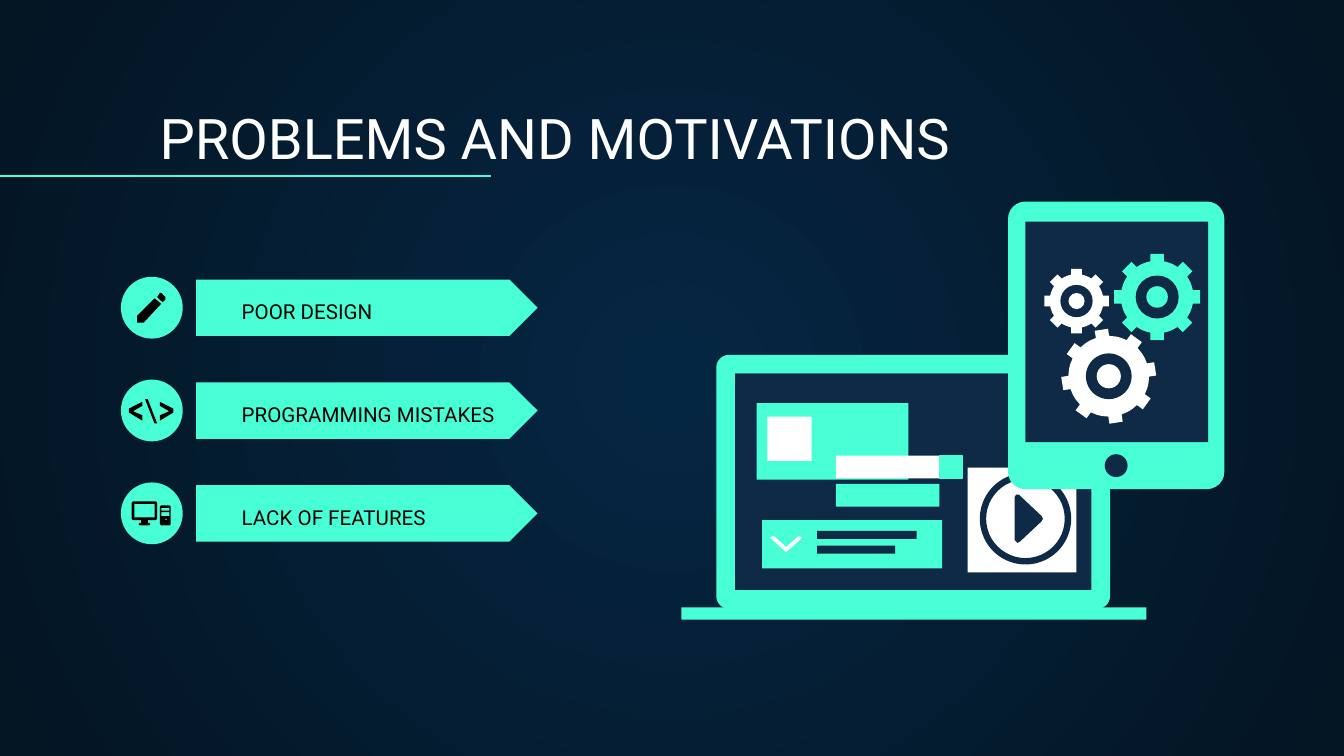
"""Build the "Problems and motivations" slide with labelled arrows and a device illustration."""
import math

import pptx
import pptx.dml.color
import pptx.enum.shapes
import pptx.enum.text
import pptx.oxml
import pptx.oxml.ns
import pptx.util
from pptx.util import Inches

RGBColor = pptx.dml.color.RGBColor
SHAPE = pptx.enum.shapes.MSO_SHAPE

MINT = RGBColor(0x48, 0xFF, 0xD5)
NAVY = RGBColor(0x0E, 0x2A, 0x47)
WHITE = RGBColor(0xFF, 0xFF, 0xFF)
BLACK = RGBColor(0, 0, 0)
GLOW = RGBColor(0x05, 0x26, 0x43)
EDGE = RGBColor(0x04, 0x15, 0x23)

TITLE = "PROBLEMS AND MOTIVATIONS"
PROBLEMS = ["POOR DESIGN", "PROGRAMMING MISTAKES", "LACK OF FEATURES"]
FIRST_CENTRE, LAST_CENTRE = 2.29, 3.82
BADGE_SIZE = 0.46
ARROW_HEIGHT = 0.42

PENCIL = [
    [(1.19, 2.18), (1.17, 2.21), (1.21, 2.25), (1.23, 2.23), (1.23, 2.21), (1.2, 2.18)],
    [(1.15, 2.22), (1.02, 2.35), (1.02, 2.4), (1.07, 2.4), (1.2, 2.26)],
]
CODE = [
    [(1.06, 3.13), (0.96, 3.07), (0.96, 3.04), (1.06, 2.99), (1.06, 3.02), (0.99, 3.06), (1.06, 3.09)],
    [(1.15, 3.15), (1.08, 2.97), (1.1, 2.97), (1.17, 3.15)],
    [(1.19, 3.13), (1.19, 3.09), (1.26, 3.06), (1.19, 3.02), (1.19, 2.99), (1.29, 3.04), (1.29, 3.07)],
]
COMPUTER = [
    [(1, 3.75), (1.15, 3.75), (1.15, 3.85), (1, 3.85)],
    [(0.99, 3.73), (0.98, 3.74), (0.98, 3.86), (0.99, 3.87), (1.05, 3.87), (1.05, 3.89),
     (1.04, 3.89), (1.03, 3.9), (1.04, 3.91), (1.11, 3.91), (1.12, 3.9), (1.11, 3.89),
     (1.1, 3.89), (1.1, 3.87), (1.16, 3.87), (1.17, 3.86), (1.17, 3.74), (1.16, 3.73)],
    [(1.2, 3.76), (1.19, 3.77), (1.19, 3.9), (1.2, 3.91), (1.26, 3.91), (1.27, 3.9),
     (1.27, 3.77), (1.26, 3.76)],
    [(1.2, 3.78), (1.26, 3.78), (1.26, 3.8), (1.2, 3.8)],
    [(1.2, 3.81), (1.26, 3.81), (1.26, 3.84), (1.2, 3.84)],
    [(1.23, 3.86), (1.24, 3.86), (1.24, 3.87), (1.23, 3.87)],
]
ICONS = [PENCIL, CODE, COMPUTER]

LAPTOP = [
    (SHAPE.ROUNDED_RECTANGLE, MINT, (5.33, 2.64, 2.93, 1.89), 0.05),
    (SHAPE.RECTANGLE, NAVY, (5.47, 2.78, 2.65, 1.61), None),
    (SHAPE.RECTANGLE, MINT, (5.07, 4.52, 3.46, 0.09), None),
    (SHAPE.RECTANGLE, NAVY, (5.47, 2.78, 2.65, 0.15), None),
    (SHAPE.RECTANGLE, MINT, (5.63, 3, 1.13, 0.57), None),
    (SHAPE.RECTANGLE, WHITE, (5.71, 3.1, 0.33, 0.33), None),
    (SHAPE.RECTANGLE, MINT, (6.02, 3.87, 0.99, 0.36), None),
    (SHAPE.RECTANGLE, NAVY, (6.08, 3.95, 0.74, 0.06), None),
    (SHAPE.RECTANGLE, NAVY, (6.08, 4.06, 0.58, 0.06), None),
    (SHAPE.RECTANGLE, MINT, (5.67, 3.87, 0.35, 0.36), None),
    (SHAPE.RECTANGLE, MINT, (6.22, 3.6, 0.77, 0.17), None),
    (SHAPE.RECTANGLE, WHITE, (6.22, 3.39, 0.77, 0.17), None),
    (SHAPE.RECTANGLE, WHITE, (7.2, 3.48, 0.81, 0.78), None),
    (SHAPE.DONUT, NAVY, (7.29, 3.52, 0.68, 0.68), 0.07),
]
TABLET = [
    (SHAPE.ROUNDED_RECTANGLE, MINT, (7.5, 1.5, 1.61, 2.14), 0.08),
    (SHAPE.RECTANGLE, NAVY, (7.63, 1.65, 1.36, 1.64), None),
    (SHAPE.OVAL, NAVY, (8.22, 3.38, 0.17, 0.17), None),
]
CHEVRON = [(5.75, 3.99), (5.76, 3.99), (5.85, 4.07), (5.94, 3.99), (5.95, 3.99), (5.97, 4),
           (5.96, 4.01), (5.86, 4.1), (5.85, 4.11), (5.84, 4.1), (5.74, 4.01), (5.73, 4)]
PLAY = [(7.55, 3.7), (7.56, 3.68), (7.58, 3.68), (7.75, 3.84), (7.76, 3.86), (7.75, 3.88),
        (7.59, 4.03), (7.57, 4.04), (7.55, 4.02)]
GEARS = [
    {"colour": MINT, "centre": (8.61, 2.21), "outer": 0.32, "body": 0.27, "hole": 0.16,
     "hub": 0.08, "half_tooth": 0.05, "tilt": 0},
    {"colour": WHITE, "centre": (8.01, 2.24), "outer": 0.24, "body": 0.2, "hole": 0.12,
     "hub": 0.06, "half_tooth": 0.04, "tilt": 0},
    {"colour": WHITE, "centre": (8.25, 2.8), "outer": 0.35, "body": 0.3, "hole": 0.17,
     "hub": 0.09, "half_tooth": 0.05, "tilt": -9},
]
TEETH = 8


def paint(shape, colour):
    shape.shadow.inherit = False
    shape.fill.solid()
    shape.fill.fore_color.rgb = colour
    shape.line.fill.background()
    return shape


def add_part(slide, kind, colour, box, adjustment=None):
    part = paint(slide.shapes.add_shape(kind, *map(Inches, box)), colour)
    if adjustment is not None:
        part.adjustments[0] = adjustment
    return part


def add_outline(slide, contours, colour):
    contours = [[(Inches(x), Inches(y)) for x, y in contour] for contour in contours]
    builder = slide.shapes.build_freeform(*contours[0][0])
    for index, contour in enumerate(contours):
        if index:
            builder.move_to(*contour[0])
        builder.add_line_segments(contour[1:], close=True)
    return paint(builder.convert_to_shape(), colour)


def add_text(slide, text, box, size, colour):
    frame = slide.shapes.add_textbox(*map(Inches, box)).text_frame
    frame.word_wrap = True
    frame.vertical_anchor = pptx.enum.text.MSO_ANCHOR.BOTTOM
    frame.margin_left = frame.margin_right = frame.margin_top = frame.margin_bottom = Inches(0.1)
    paragraph = frame.paragraphs[0]
    paragraph.text = text
    paragraph.font.name = "Roboto"
    paragraph.font.size = pptx.util.Pt(size)
    paragraph.font.color.rgb = colour


def add_disc(slide, centre, radius, colour):
    x, y = centre
    add_part(slide, SHAPE.OVAL, colour, (x - radius, y - radius, 2 * radius, 2 * radius))


def add_gear(slide, colour, centre, outer, body, hole, hub, half_tooth, tilt):
    rim = math.sqrt(body ** 2 - half_tooth ** 2)
    step = math.pi / TEETH
    valley = [(body * math.sin(step * k), body * math.cos(step * k)) for k in (0.8, 1, 1.2)]
    tooth = [(-half_tooth, rim), (-half_tooth, outer), (half_tooth, outer), (half_tooth, rim)]
    points = []
    for index in range(TEETH):
        angle = math.radians(tilt) + 2 * step * index
        sin, cos = math.sin(angle), math.cos(angle)
        points += [(centre[0] + across * cos + up * sin, centre[1] + across * sin - up * cos)
                   for across, up in tooth + valley]
    add_outline(slide, [points], colour)
    add_disc(slide, centre, hole, NAVY)
    add_disc(slide, centre, hub, colour)


def set_background(slide):
    fill = slide.background.fill
    fill.gradient()
    for stop, position, colour in zip(fill.gradient_stops, (0, 1), (GLOW, EDGE)):
        stop.position = position
        stop.color.rgb = colour
    gradient = next(slide.element.iter(pptx.oxml.ns.qn("a:gradFill")))
    gradient.replace(gradient.find(pptx.oxml.ns.qn("a:lin")), pptx.oxml.parse_xml(
        f'<a:path {pptx.oxml.ns.nsdecls("a")} path="circle">'
        '<a:fillToRect l="50000" t="50000" r="50000" b="50000"/></a:path>'))


def main():
    deck = pptx.Presentation()
    deck.slide_width = Inches(10)
    deck.slide_height = deck.slide_width * 9 // 16
    slide = deck.slides.add_slide(deck.slide_layouts[6])
    set_background(slide)

    add_text(slide, TITLE, (1.09, 0.71, 8.57, 0.66), 30, WHITE)
    underline = slide.shapes.add_connector(
        pptx.enum.shapes.MSO_CONNECTOR.STRAIGHT, 0, Inches(1.31), Inches(3.65), Inches(1.31))
    underline.line.color.rgb = MINT
    underline.line.width = pptx.util.Pt(0.75)
    underline.element.spPr.append(
        pptx.oxml.parse_xml(f'<a:effectLst {pptx.oxml.ns.nsdecls("a")}/>'))

    pitch = (LAST_CENTRE - FIRST_CENTRE) / (len(PROBLEMS) - 1)
    for row, (problem, icon) in enumerate(zip(PROBLEMS, ICONS)):
        centre = FIRST_CENTRE + row * pitch
        add_part(slide, SHAPE.PENTAGON, MINT, (1.46, centre - ARROW_HEIGHT / 2, 2.54, ARROW_HEIGHT), 0.5)
        add_text(slide, problem, (1.7, centre, 2.27, 0.21), 11, BLACK)
        add_disc(slide, (0.9 + BADGE_SIZE / 2, centre), BADGE_SIZE / 2, MINT)
        add_outline(slide, icon, BLACK)

    for part in LAPTOP:
        add_part(slide, *part)
    tab = add_part(slide, SHAPE.RECTANGLE, MINT, (6.99, 3.39, 0.17, 0.17))
    tab.line.color.rgb = MINT
    tab.line.width = pptx.util.Pt(0.75)
    add_outline(slide, [CHEVRON], WHITE)
    add_outline(slide, [PLAY], NAVY)
    for part in TABLET:
        add_part(slide, *part)
    for gear in GEARS:
        add_gear(slide, **gear)
    deck.save("out.pptx")


if __name__ == "__main__":
    main()
